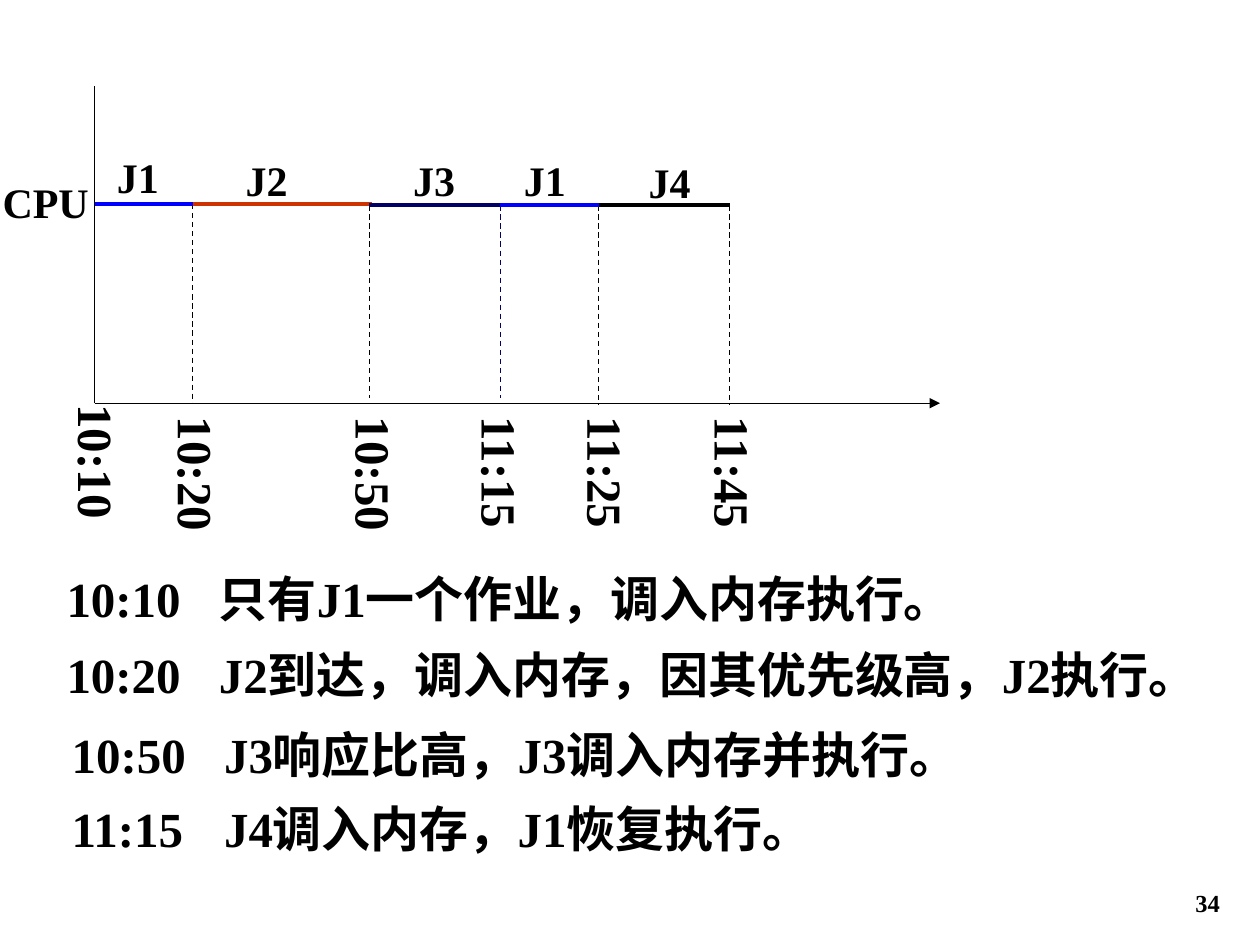
from lxml.etree import SubElement
from pptx import Presentation
from pptx.dml.color import RGBColor
from pptx.enum.dml import MSO_LINE
from pptx.enum.shapes import MSO_CONNECTOR
from pptx.enum.text import MSO_ANCHOR, MSO_AUTO_SIZE, PP_ALIGN
from pptx.oxml.ns import qn
from pptx.util import Inches, Pt

COLORS = {"black": "000000", "blue": "0000FF", "rust": "CC3300", "navy": "000066"}
FONT = "Times New Roman"

JOBS = [
    ("J1", "blue", 0.75, 1.53, 1.62, 0.83, 1.15),
    ("J2", "rust", 1.53, 2.95, 1.62, 1.85, 1.18),
    ("J3", "navy", 2.93, 3.97, 1.63, 3.18, 1.18),
    ("J1", "blue", 3.97, 4.75, 1.63, 4.06, 1.18),
    ("J4", "black", 4.75, 5.79, 1.63, 5.05, 1.19),
]
TIMES = [
    ("10:20", 1.53, 1.62, 3.2, "black", 1.18),
    ("10:50", 2.93, 1.63, 3.16, "black", 2.59),
    ("11:15", 3.97, 1.63, 3.16, "navy", 3.59),
    ("11:25", 4.75, 1.63, 3.21, "black", 4.43),
    ("11:45", 5.79, 1.63, 3.21, "black", 5.44),
]
EVENTS = [
    ("10:10", "只有J1一个作业，调入内存执行。", 0, 0, 9.1),
    ("10:20", "J2到达，调入内存，因其优先级高，J2执行。", 0, 0.61, 9.57),
    ("10:50", "J3响应比高，J3调入内存并执行。", 0.04, 1.24, 8.12),
    ("11:15", "J4调入内存，J1恢复执行。", 0.04, 1.83, 8.81),
]


def add_text(slide, text, left, top, width, height, size, vertical=False, tight=False):
    shape = slide.shapes.add_textbox(Inches(left), Inches(top), Inches(width), Inches(height))
    frame = shape.text_frame
    frame.word_wrap = True
    frame.auto_size = MSO_AUTO_SIZE.SHAPE_TO_FIT_TEXT
    if tight:
        frame.margin_left = frame.margin_right = Inches(0.02)
        frame.margin_top = frame.margin_bottom = Inches(0.01)
    if vertical:
        frame._txBody.bodyPr.set("vert", "eaVert")
    paragraph = frame.paragraphs[0]
    run = paragraph.add_run()
    run.text = text
    run.font.name = FONT
    run.font.size = Pt(size)
    run.font.bold = True
    run.font.color.rgb = RGBColor.from_string(COLORS["black"])
    return frame


def add_line(slide, start_x, start_y, end_x, end_y, color="black", width=0.75, dashed=False, arrow=False):
    connector = slide.shapes.add_connector(
        MSO_CONNECTOR.STRAIGHT, Inches(start_x), Inches(start_y), Inches(end_x), Inches(end_y)
    )
    connector.line.color.rgb = RGBColor.from_string(COLORS[color])
    connector.line.width = Pt(width)
    if dashed:
        connector.line.dash_style = MSO_LINE.DASH
    if arrow:
        SubElement(connector.line._get_or_add_ln(), qn("a:tailEnd"), type="triangle")
    SubElement(connector._element.spPr, qn("a:effectLst"))


def add_timeline(slide, left, top, width, height):
    base = top + height
    axis = left + 0.75
    add_line(slide, axis, base, left + width, base, arrow=True)
    add_line(slide, axis, base, axis, top)
    add_text(slide, "CPU", left, top + 0.71, 0.79, 0.42, 24, tight=True)
    add_text(slide, "10:10", left + 0.52, base, 0.51, 1.04, 28, vertical=True, tight=True)
    offset = top - 0.68
    for time, x, line_top, line_bottom, color, label_left in TIMES:
        add_line(slide, left + x, offset + line_top, left + x, offset + line_bottom, color, dashed=True)
        add_text(slide, time, left + label_left, base + 0.01, 0.67, 1.18, 28, vertical=True)
    for job, color, start, end, y, label_left, label_top in JOBS:
        add_line(slide, left + start, offset + y, left + end, offset + y, color, 2.25)
        add_text(slide, job, left + label_left, offset + label_top, 0.55, 0.5, 24)


def add_events(slide, left, top):
    for time, event, x, y, width in EVENTS:
        frame = add_text(slide, f"{time}\t{event}", left + x, top + y, width, 0.57, 28)
        properties = frame.paragraphs[0]._p.get_or_add_pPr()
        tabs = SubElement(properties, qn("a:tabLst"))
        SubElement(tabs, qn("a:tab"), pos=str(Inches(1.21)), algn="l")


def add_page_number(slide, left, top, width, height):
    frame = add_text(slide, "34", left, top, width, height, 14)
    frame.auto_size = MSO_AUTO_SIZE.NONE
    frame.vertical_anchor = MSO_ANCHOR.BOTTOM
    frame.paragraphs[0].alignment = PP_ALIGN.RIGHT


def main():
    presentation = Presentation()
    presentation.slide_width = Inches(10)
    presentation.slide_height = Inches(7.5)
    slide = presentation.slides.add_slide(presentation.slide_layouts[6])
    add_timeline(slide, 0, 0.68, 7.46, 2.52)
    add_events(slide, 0.43, 4.46)
    add_page_number(slide, 7.7, 6.83, 2.08, 0.5)
    presentation.save("out.pptx")


if __name__ == "__main__":
    main()
